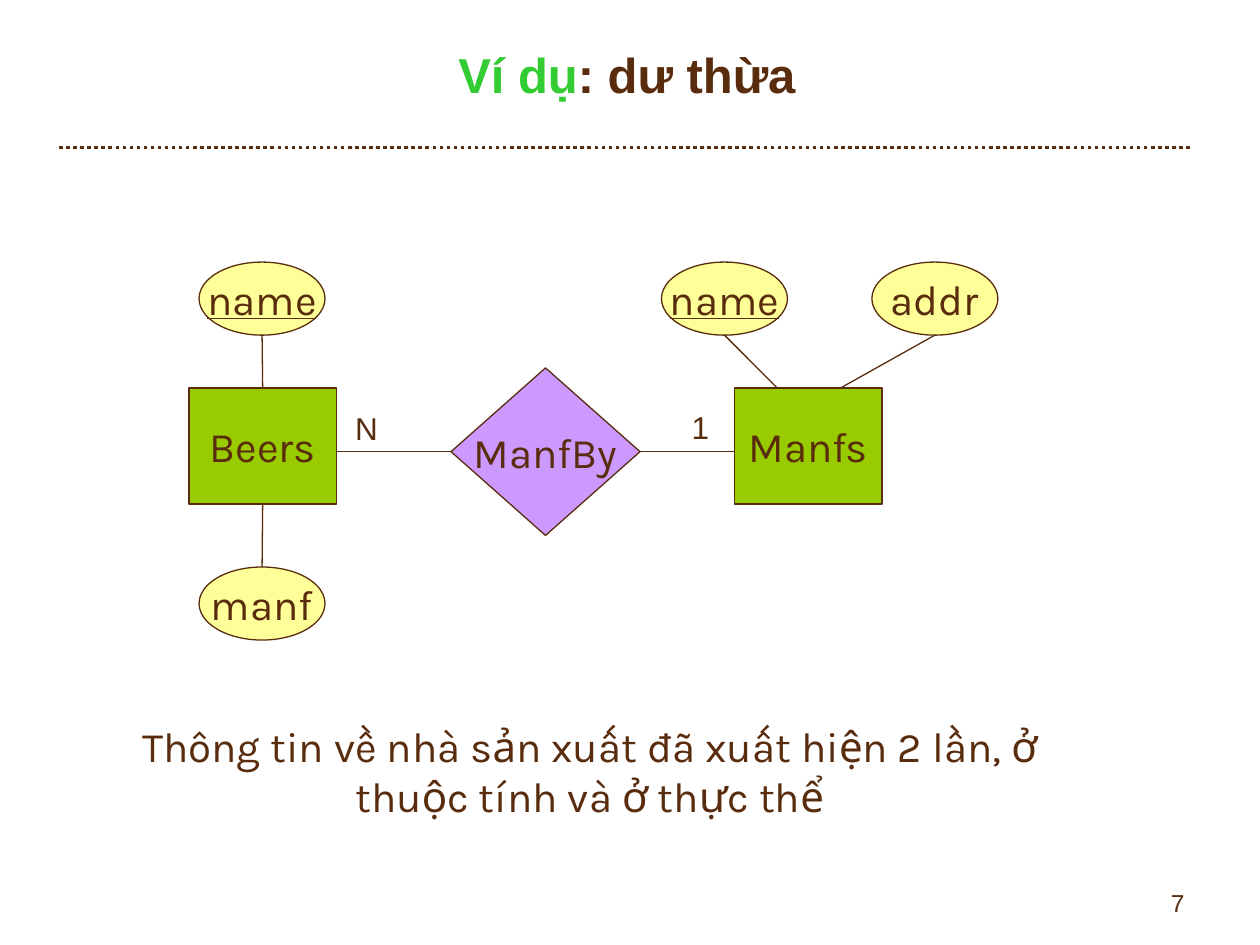
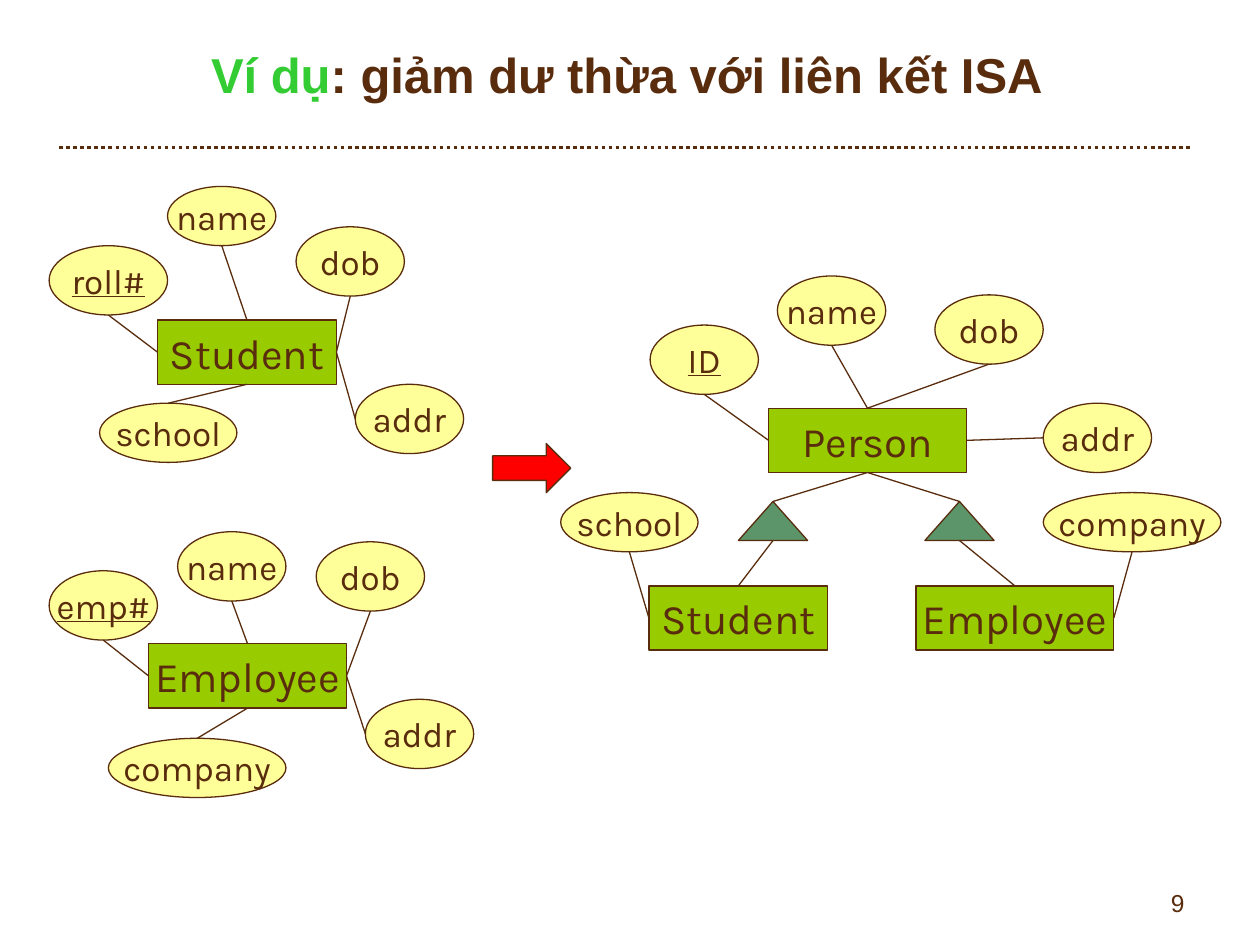
from dataclasses import dataclass

from lxml import etree
from pptx import Presentation
from pptx.dml.color import RGBColor
from pptx.enum.dml import MSO_LINE
from pptx.enum.shapes import MSO_CONNECTOR, MSO_SHAPE
from pptx.enum.text import MSO_ANCHOR, PP_ALIGN
from pptx.oxml.ns import qn
from pptx.util import Inches, Pt

RECTANGLE = MSO_SHAPE.RECTANGLE
ELLIPSE = MSO_SHAPE.OVAL
DIAMOND = MSO_SHAPE.DIAMOND
TRIANGLE = MSO_SHAPE.ISOSCELES_TRIANGLE
RIGHT_ARROW = MSO_SHAPE.RIGHT_ARROW
STRAIGHT = MSO_CONNECTOR.STRAIGHT
DOTTED = MSO_LINE.ROUND_DOT
MIDDLE = MSO_ANCHOR.MIDDLE
TOP_ANCHOR = MSO_ANCHOR.TOP
LEFT_ALIGN, CENTER, RIGHT_ALIGN = PP_ALIGN.LEFT, PP_ALIGN.CENTER, PP_ALIGN.RIGHT
TOP, LEFT, BOTTOM, RIGHT = range(4)


@dataclass(frozen=True)
class Theme:
    ink: str = "592C0D"
    accent: str = "33CC33"
    entity: str = "99CC00"
    attribute: str = "FFFF99"
    relationship: str = "CC99FF"
    isa: str = "5B9569"
    arrow: str = "FF0000"
    heading_font: str = "Arial"
    body_font: str = "Karla"
    title_size: int = 28
    body_size: int = 24
    attribute_size: int = 20
    label_size: int = 18
    number_size: int = 14
    outline: float = 0.75
    rule: float = 2


THEME = Theme()


def color(value):
    return RGBColor.from_string(value)


def style_run(run, font, size, ink=THEME.ink, bold=False, underline=False):
    run.font.name = font
    run.font.size = Pt(size)
    run.font.color.rgb = color(ink)
    run.font.bold = bold
    run.font.underline = underline


def add_text(slide, box, text, font, size, align=CENTER, space_before=0):
    holder = slide.shapes.add_textbox(*map(Inches, box))
    holder.text_frame.word_wrap = True
    holder.text_frame.vertical_anchor = TOP_ANCHOR
    paragraph = holder.text_frame.paragraphs[0]
    paragraph.text = text
    paragraph.alignment = align
    paragraph.space_before = Pt(space_before)
    style_run(paragraph.runs[0], font, size)


def add_line(slide, start, end, width=THEME.outline):
    line = slide.shapes.add_connector(STRAIGHT, *start, *end)
    line.line.color.rgb = color(THEME.ink)
    line.line.width = Pt(width)
    etree.SubElement(line._element.spPr, qn("a:effectLst"))
    return line


def side_point(node, side):
    center_x = node.left + node.width // 2
    center_y = node.top + node.height // 2
    return {
        TOP: (center_x, node.top),
        LEFT: (node.left, center_y),
        BOTTOM: (center_x, node.top + node.height),
        RIGHT: (node.left + node.width, center_y),
    }[side]


def link(slide, start, node, side):
    line = add_line(slide, start, side_point(node, side))
    line.end_connect(node, side)


def add_node(slide, kind, box, fill, text="", size=THEME.body_size, underline=False):
    node = slide.shapes.add_shape(kind, *map(Inches, box))
    node.shadow.inherit = False
    node.fill.solid()
    node.fill.fore_color.rgb = color(fill)
    node.line.color.rgb = color(THEME.ink)
    node.line.width = Pt(THEME.outline)
    if text:
        frame = node.text_frame
        frame.text = text
        frame.word_wrap = False
        frame.vertical_anchor = MIDDLE
        frame.paragraphs[0].alignment = CENTER
        style_run(frame.paragraphs[0].runs[0], THEME.body_font, size, underline=underline)
    return node


def add_entity(slide, text, box):
    return add_node(slide, RECTANGLE, box, THEME.entity, text)


def add_attribute(slide, text, box, size, key=False):
    return add_node(slide, ELLIPSE, box, THEME.attribute, text, size, key)


def add_attributes(slide, entity, attributes, key=None):
    widths = {"roll#": 0.94, "school": 1.09, "company": 1.41}
    for text, left, top, height, own_side, entity_side in attributes:
        box = (left, top, widths.get(text, 0.86), height)
        attribute = add_attribute(slide, text, box, THEME.attribute_size, text == key)
        link(slide, side_point(attribute, own_side), entity, entity_side)


def add_isa(slide, box, parent, child):
    triangle = add_node(slide, TRIANGLE, box, THEME.isa)
    link(slide, side_point(triangle, TOP), parent, BOTTOM)
    link(slide, side_point(triangle, BOTTOM), child, TOP)


def add_framed_slide(prs, topic, number):
    slide = prs.slides.add_slide(prs.slide_layouts[6])
    rule = add_line(slide, (Inches(0.47), Inches(1.17)), (Inches(9.45), Inches(1.17)), THEME.rule)
    rule.line.dash_style = DOTTED
    title = slide.shapes.add_textbox(*map(Inches, (0.5, 0.17, 8.95, 0.84)))
    title.text_frame.word_wrap = True
    title.text_frame.vertical_anchor = MIDDLE
    paragraph = title.text_frame.paragraphs[0]
    paragraph.alignment = CENTER
    for text, ink in (("Ví dụ", THEME.accent), (f": {topic}", THEME.ink)):
        run = paragraph.add_run()
        run.text = text
        style_run(run, THEME.heading_font, THEME.title_size, ink, bold=True)
    add_text(slide, (7.17, 7, 2.33, 0.35), str(number), THEME.heading_font,
             THEME.number_size, RIGHT_ALIGN)
    return slide


def build_redundancy(prs):
    slide = add_framed_slide(prs, "dư thừa", 7)
    beers = add_entity(slide, "Beers", (1.5, 3.08, 1.17, 0.92))
    manfs = add_entity(slide, "Manfs", (5.83, 3.08, 1.17, 0.92))
    manf_by = add_node(slide, DIAMOND, (3.58, 2.92, 1.5, 1.33), THEME.relationship, "ManfBy")
    for entity, entity_side, diamond_side in ((beers, RIGHT, LEFT), (manfs, LEFT, RIGHT)):
        edge_x = side_point(entity, entity_side)[0]
        level_y = side_point(manf_by, diamond_side)[1]
        link(slide, (edge_x, level_y), manf_by, diamond_side)

    def attribute(text, left, top, key=False):
        return add_attribute(slide, text, (left, top, 1, 0.58), THEME.body_size, key)

    beer_name = attribute("name", 1.58, 2.08, key=True)
    beer_manf = attribute("manf", 1.58, 4.5)
    link(slide, side_point(beer_name, BOTTOM), beers, TOP)
    link(slide, side_point(beer_manf, TOP), beers, BOTTOM)
    manf_name = attribute("name", 5.25, 2.08, key=True)
    manf_addr = attribute("addr", 6.92, 2.08)
    for node, landing_x in ((manf_name, 6.17), (manf_addr, 6.67)):
        add_line(slide, side_point(node, BOTTOM), (Inches(landing_x), manfs.top))

    for text, left, top in (("1", 5.39, 3.19), ("N", 2.72, 3.2)):
        add_text(slide, (left, top, 0.39, 0.4), text, THEME.heading_font,
                 THEME.label_size, LEFT_ALIGN, space_before=11.2)
    add_text(slide, (0.92, 5.67, 7.52, 0.9),
             "Thông tin về nhà sản xuất đã xuất hiện 2 lần, ở thuộc tính và ở thực thể",
             THEME.body_font, THEME.body_size)


def build_isa(prs):
    slide = add_framed_slide(prs, "giảm dư thừa với liên kết ISA", 9)

    student = add_entity(slide, "Student", (1.25, 2.54, 1.42, 0.51))
    add_attributes(slide, student, [
        ("name", 1.33, 1.48, 0.47, BOTTOM, TOP),
        ("dob", 2.35, 1.8, 0.55, BOTTOM, RIGHT),
        ("addr", 2.82, 3.05, 0.55, LEFT, RIGHT),
        ("roll#", 0.39, 1.95, 0.55, BOTTOM, LEFT),
        ("school", 0.79, 3.2, 0.47, TOP, BOTTOM),
    ], key="roll#")

    employee = add_entity(slide, "Employee", (1.18, 5.11, 1.57, 0.51))
    add_attributes(slide, employee, [
        ("name", 1.41, 4.22, 0.55, BOTTOM, TOP),
        ("dob", 2.51, 4.3, 0.55, BOTTOM, RIGHT),
        ("addr", 2.9, 5.55, 0.55, LEFT, RIGHT),
        ("emp#", 0.39, 4.53, 0.55, BOTTOM, LEFT),
        ("company", 0.86, 5.86, 0.47, TOP, BOTTOM),
    ], key="emp#")

    person = add_entity(slide, "Person", (6.1, 3.24, 1.57, 0.51))
    add_attributes(slide, person, [
        ("name", 6.17, 2.19, 0.55, BOTTOM, TOP),
        ("dob", 7.42, 2.34, 0.55, BOTTOM, TOP),
        ("addr", 8.28, 3.2, 0.55, LEFT, RIGHT),
        ("ID", 5.16, 2.58, 0.55, BOTTOM, LEFT),
    ], key="ID")
    sub_student = add_entity(slide, "Student", (5.15, 4.65, 1.42, 0.51))
    sub_employee = add_entity(slide, "Employee", (7.27, 4.65, 1.57, 0.51))
    add_isa(slide, (5.86, 3.98, 0.55, 0.31), person, sub_student)
    add_isa(slide, (7.34, 3.98, 0.55, 0.31), person, sub_employee)
    add_attributes(slide, sub_student, [("school", 4.45, 3.91, 0.47, BOTTOM, LEFT)])
    add_attributes(slide, sub_employee, [("company", 8.28, 3.91, 0.47, BOTTOM, RIGHT)])

    add_node(slide, RIGHT_ARROW, (3.91, 3.52, 0.62, 0.39), THEME.arrow)


def main():
    prs = Presentation()
    prs.slide_width = Inches(10)
    prs.slide_height = Inches(7.5)
    build_redundancy(prs)
    build_isa(prs)
    prs.save("out.pptx")


if __name__ == "__main__":
    main()
